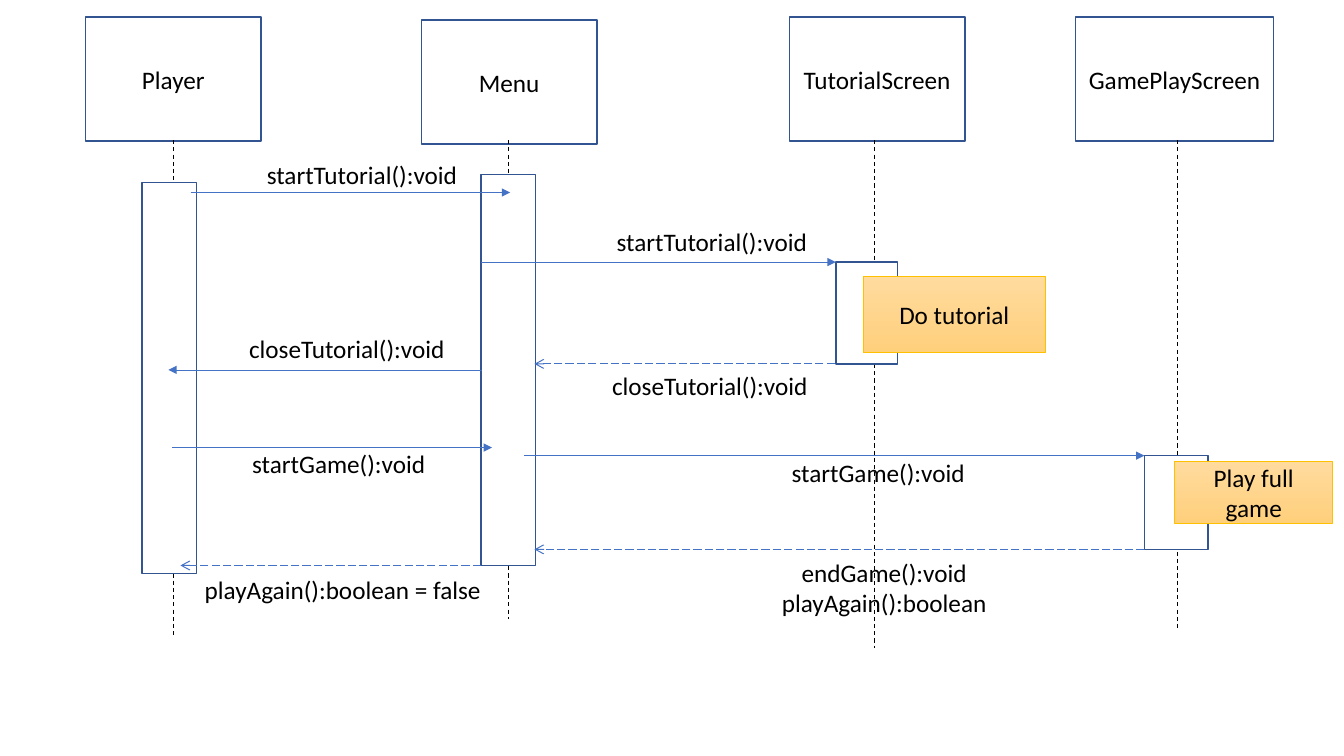
from pptx import Presentation
from pptx.dml.color import RGBColor
from pptx.enum.dml import MSO_LINE
from pptx.enum.shapes import MSO_CONNECTOR, MSO_SHAPE
from pptx.enum.text import MSO_ANCHOR, PP_ALIGN
from pptx.oxml.ns import qn
from pptx.util import Inches, Pt
from lxml import etree

RECT, LINE = MSO_SHAPE.RECTANGLE, MSO_CONNECTOR.STRAIGHT
DASH, LONG = MSO_LINE.DASH, MSO_LINE.LONG_DASH
MID, MIDDLE = PP_ALIGN.CENTER, MSO_ANCHOR.MIDDLE

THEME = {"font": "Calibri", "size": 18, "ink": "000000", "paper": "FFFFFF",
         "edge": "325491", "arrow": "4472C4", "note": ("FFDB9E", "FFD07C"),
         "rim": "FFC000"}

# Actors: name, head (left, top, width), lifeline (x, end), bar (left, top, width, height)
ACTORS = [
    ("Player", (0.85, 0.17, 1.74), (1.72, 6.33), (1.41, 1.81, 0.54, 3.88)),
    ("Menu", (4.18, 0.2, 1.74), (5.04, 6.14), (4.77, 1.73, 0.54, 3.88)),
    ("TutorialScreen", (7.83, 0.17, 1.74), (8.67, 6.43), (8.29, 2.6, 0.61, 1.01)),
    ("GamePlayScreen", (10.67, 0.17, 1.96), (11.68, 6.25), (11.35, 4.52, 0.63, 0.93)),
]
HEAD_H, LIFE_TOP = 1.23, 1.39

# Messages: text lines, arrow (from x, to x, y), label centre, is a reply
MESSAGES = [
    (["startTutorial():void"], (1.89, 5.06, 1.91), (3.59, 1.73), False),
    (["startTutorial():void"], (4.77, 8.29, 2.6), (7.06, 2.4), False),
    (["closeTutorial():void"], (8.28, 5.3, 3.61), (7.04, 3.82), True),
    (["closeTutorial():void"], (4.78, 1.67, 3.67), (3.44, 3.46), False),
    (["startGame():void"], (1.71, 4.88, 4.44), (3.36, 4.6), False),
    (["startGame():void"], (5.2, 11.35, 4.52), (8.71, 4.69), False),
    (["endGame():void", "playAgain():boolean"], (11.35, 5.3, 5.45), (8.77, 5.83), True),
    (["playAgain():boolean = false"], (4.77, 1.79, 5.61), (3.4, 5.85), True),
]
LABEL_W, LABEL_H = 3, 0.7

NOTES = [("Do tutorial", (8.56, 2.74, 1.81, 0.76)),
         ("Play full game", (11.65, 4.58, 1.57, 0.61))]

deck = Presentation()
deck.slide_width, deck.slide_height = Inches(13.33), Inches(7.5)
slide = deck.slides.add_slide(deck.slide_layouts[6])
shapes = slide.shapes


def rgb(key):
    return RGBColor.from_string(THEME.get(key, key))


def write(shape, lines):
    frame = shape.text_frame
    frame.word_wrap = True
    frame.vertical_anchor = MIDDLE
    frame.text = "\n".join(lines)
    look = {"name": THEME["font"], "size": Pt(THEME["size"])}
    for para in frame.paragraphs:
        para.alignment = MID
        for key, value in look.items():
            setattr(para.font, key, value)
        para.font.color.rgb = rgb("ink")


def box(at, lines=(), fill="paper", edge="edge", width=1):
    shape = shapes.add_shape(RECT, *map(Inches, at))
    shape.shadow.inherit = False
    if fill == "note":
        shape.fill.gradient()
        shape.fill.gradient_angle = 270
        for stop, tone, spot in zip(shape.fill.gradient_stops, THEME["note"], (0, 1)):
            stop.color.rgb = rgb(tone)
            stop.position = spot
    else:
        shape.fill.solid()
        shape.fill.fore_color.rgb = rgb(fill)
    shape.line.color.rgb = rgb(edge)
    shape.line.width = Pt(width)
    if lines:
        write(shape, lines)


def link(start, end, color, width, dash=None, tip=None):
    line = shapes.add_connector(LINE, *map(Inches, (*start, *end)))
    line.line.color.rgb = rgb(color)
    line.line.width = Pt(width)
    if dash:
        line.line.dash_style = dash
    if tip:
        etree.SubElement(line.line._get_or_add_ln(), qn("a:tailEnd"), type=tip)
    etree.SubElement(line._element.spPr, qn("a:effectLst"))


# Heads and lifelines, then the activation bars over them
for name, head, (x, end), bar in ACTORS:
    box((*head, HEAD_H), [name])
    link((x, LIFE_TOP), (x, end), "ink", 0.75, DASH)
for name, head, life, bar in ACTORS:
    box(bar)

# Messages: solid calls and dashed replies
for lines, (start, end, y), (x, mid), reply in MESSAGES:
    style = (0.75, LONG, "arrow") if reply else (0.5, None, "triangle")
    link((start, y), (end, y), "arrow", *style)
    at = (x - LABEL_W / 2, mid - LABEL_H / 2, LABEL_W, LABEL_H)
    write(shapes.add_textbox(*map(Inches, at)), lines)

# Notes beside the bars
for text, at in NOTES:
    box(at, [text], "note", "rim", 0.5)

deck.save("out.pptx")
